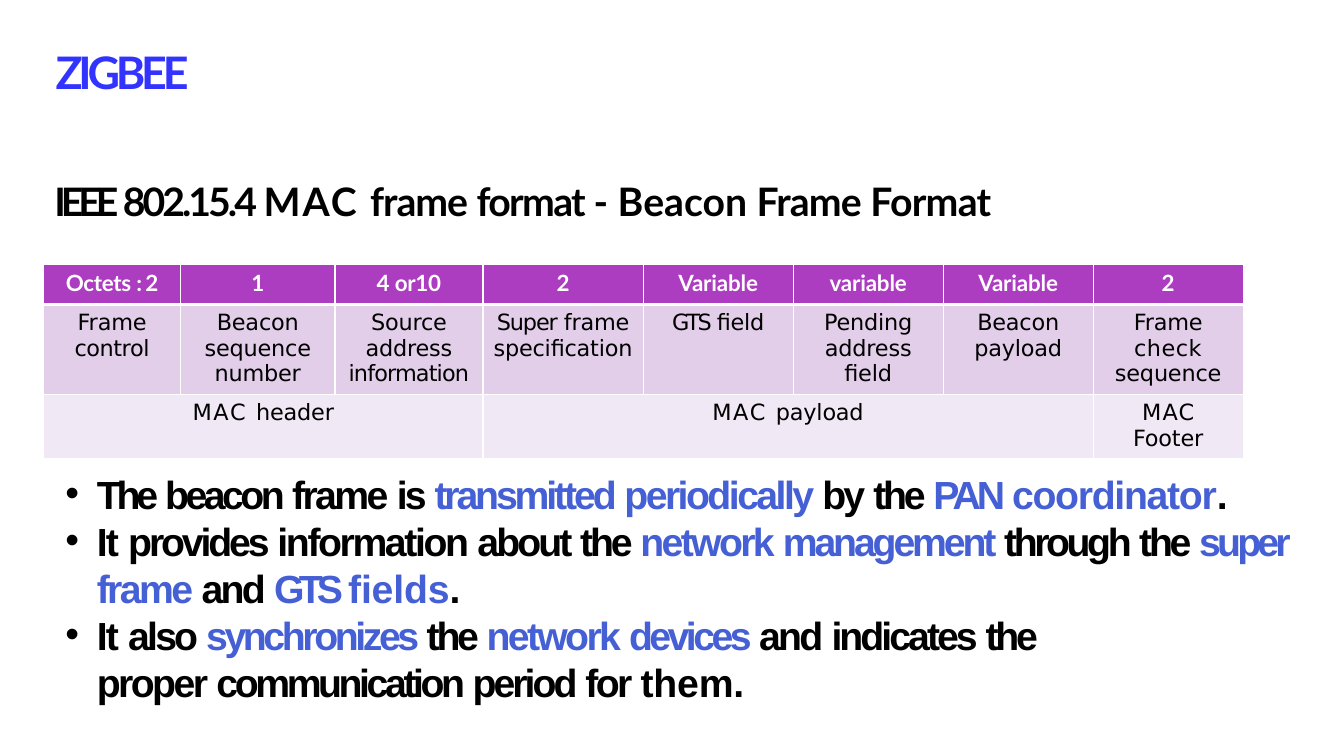
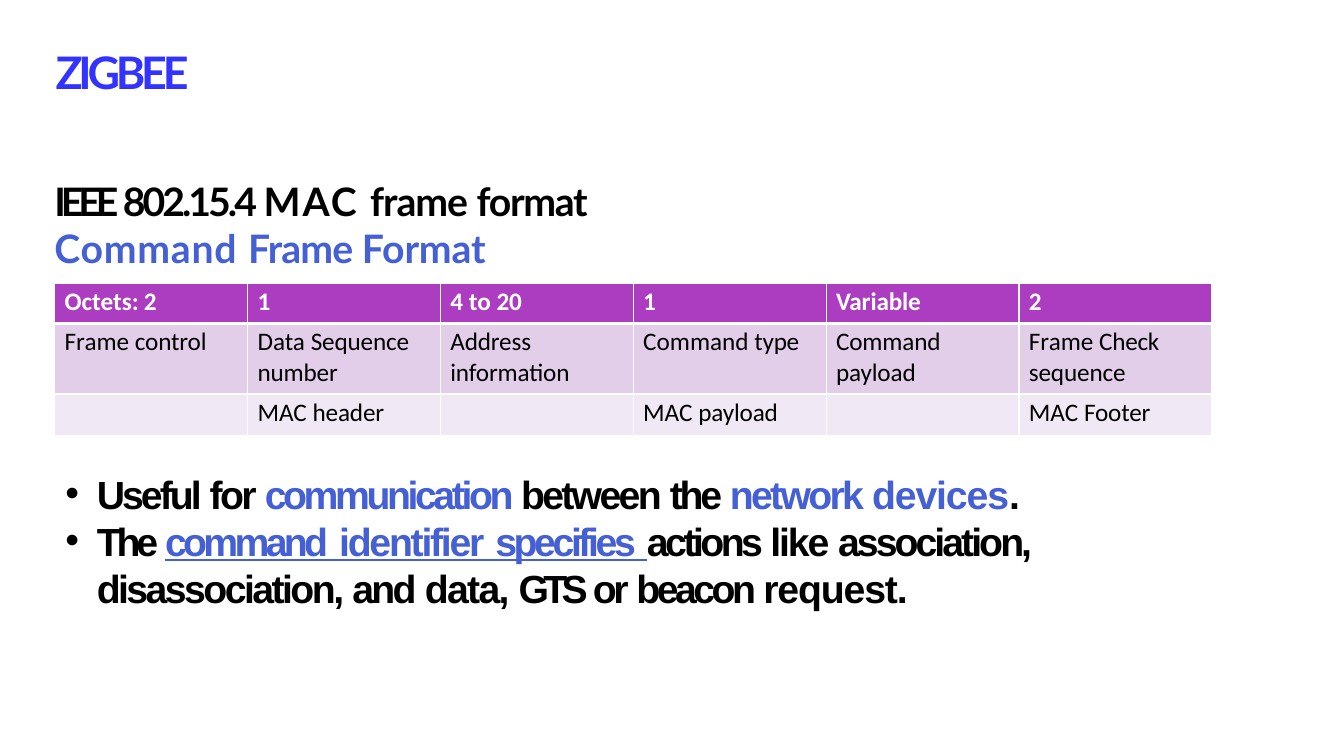
from lxml import etree
from pptx import Presentation
from pptx.dml.color import RGBColor
from pptx.enum.text import PP_ALIGN
from pptx.oxml.ns import qn
from pptx.util import Cm, Pt

LEFT, CENTER = PP_ALIGN.LEFT, PP_ALIGN.CENTER

BLACK = RGBColor(0x00, 0x00, 0x00)
WHITE = RGBColor(0xFF, 0xFF, 0xFF)
TITLE_BLUE = RGBColor(0x33, 0x33, 0xFF)
BLUE = RGBColor(0x45, 0x5F, 0xD5)
PURPLE = RGBColor(0xAC, 0x3D, 0xC1)
LILAC = RGBColor(0xE2, 0xCE, 0xE9)
PALE_LILAC = RGBColor(0xF0, 0xE8, 0xF4)
ROW_FILLS = (PURPLE, LILAC, PALE_LILAC)

HEADING_FONT, BULLET_FONT = "Lato", "Arial"
THIN, THICK = Pt(1), Pt(3)
EMPTY = []

# A run is (text, letter spacing in points[, colour[, underline]]);
# a paragraph is a list of runs, a cell a list of paragraphs.
FRAME_FORMAT = [("IEEE ", -3.6), ("802.15.4 ", -2.1), ("MAC ", 1.4), ("frame ", -0.7)]

BEACON_HEADING = FRAME_FORMAT + [
    ("format ", -1.2), ("- Beacon ", 0), ("Frame ", -0.6), ("Format", -0.5)]
BEACON_WIDTHS = [3.45, 3.89, 3.73, 4.04] + [3.78] * 4
BEACON_HEIGHTS = [1.02, 2.28, 1.6]
BEACON_SPANS = [(2, 0, 2), (2, 3, 6)]
BEACON_ROWS = [
    [[[("Octets ", -0.2), (": ", -1.5), ("2", -0.5)]],
     [[("1", -0.5)]],
     [[("4", -1.4), (" or10", -0.2)]],
     [[("2", -0.5)]],
     [[("Variable", -0.1)]],
     [[("variable", -0.1)]],
     [[("Variable", -0.1)]],
     [[("2", -0.5)]]],
    [[[("Frame ", -0.1), ("control", -0.3)]],
     [[("Beacon sequence number", -0.1)]],
     [[("Source address ", -0.1), ("information", -0.6)]],
     [[("Super ", -0.8), ("frame specification", -0.1)]],
     [[("GTS ", -1.6), ("field", -0.1)]],
     [[("Pending address field", -0.1)]],
     [[("Beacon payload", -0.1)]],
     [[("Frame ", -0.1), ("check ", 0.4), ("sequence", -0.1)]]],
    [[[("MAC ", 1.2), ("header", -0.1)]], EMPTY, EMPTY,
     [[("MAC ", 1.2), ("payload", -0.1)]], EMPTY, EMPTY, EMPTY,
     [[("MAC", 0.9)], [("Footer", -0.1)]]],
]
BEACON_POINTS = [
    [("The ", -2.9), ("beacon ", -2.5), ("frame ", -1.8), ("is ", -2.1),
     ("transmitted ", -2.2, BLUE), ("periodically ", -1.8, BLUE),
     ("by ", -2), ("the ", -2.3), ("PAN ", -2.8, BLUE),
     ("coordinator", -0.9, BLUE), (".", -0.9)],
    [("It ", -1.2), ("provides ", -2.2), ("information ", -1.7), ("about ", -2.1),
     ("the ", -2.2), ("network ", -1.9, BLUE), ("management ", -2.2, BLUE),
     ("through ", -2.4), ("the ", -2.3), ("super ", -2.7, BLUE),
     ("frame ", -1.8, BLUE), ("and ", -1.9), ("GTS ", -4.1, BLUE),
     ("fields", -0.1, BLUE), (".", -0.1)],
    [("It ", -1.2), ("also ", -2), ("synchronizes ", -2.4, BLUE), ("the ", -2.3),
     ("network ", -1.9, BLUE), ("devices ", -2.5, BLUE), ("and ", -1.9),
     ("indicates ", -2.1), ("the ", -2.3), ("proper ", -1.8),
     ("communication ", -2.4), ("period ", -2.1), ("for ", -1.9), ("them.", -0.1)],
]

COMMAND_HEADING = FRAME_FORMAT + [
    ("format ", -0.9), ("Command ", 0.6, BLUE), ("Frame ", -0.6, BLUE),
    ("Format", -0.1, BLUE)]
COMMAND_WIDTHS = [4.86] * 6
COMMAND_HEIGHTS = [1.02, 1.78, 1.04]
COMMAND_ROWS = [
    [[[("Octets:", 0), (" 2", -0.5)]],
     [[("1", -0.5)]],
     [[("4 to ", 0), ("20", -0.2)]],
     [[("1", -0.5)]],
     [[("Variable", -0.1)]],
     [[("2", -0.5)]]],
    [[[("Frame ", 0), ("control", -0.1)]],
     [[("Data ", 0), ("Sequence", -0.1)], [("number", -0.1)]],
     [[("Address", -0.1)], [("information", -0.1)]],
     [[("Command ", 0), ("type", -0.2)]],
     [[("Command", -0.1)], [("payload", -0.1)]],
     [[("Frame ", 0), ("Check", -0.2)], [("sequence", -0.1)]]],
    [EMPTY,
     [[("MAC ", 0), ("header", -0.1)]],
     EMPTY,
     [[("MAC ", 0), ("payload", -0.1)]],
     EMPTY,
     [[("MAC ", 0), ("Footer", -0.1)]]],
]
COMMAND_POINTS = [
    [("Useful ", -2.1), ("for ", -1.9), ("communication ", -2.4, BLUE),
     ("between ", -1.9), ("the ", -2.3), ("network ", -1.9, BLUE),
     ("devices", -0.8, BLUE), (".", -0.8)],
    [("The ", -2.9), ("command", -2.6, BLUE, True), (" ", 0.1, BLUE, True),
     ("identifier", -1.6, BLUE, True), (" ", -0.2, BLUE, True),
     ("specifies", -2.4, BLUE, True), (" ", 0.2, BLUE, True),
     ("actions ", -2.5), ("like ", -1.5), ("association, ", -2.1),
     ("disassociation, ", -1.8), ("and ", -1.9), ("data, ", -1.2),
     ("GTS ", -4.1), ("or ", -2.3), ("beacon ", -2.5), ("request.", -0.8)],
]


def add_bullet(paragraph):
    properties = paragraph._p.get_or_add_pPr()
    properties.set("marL", str(Cm(0.84)))
    properties.set("indent", str(-Cm(0.79)))
    etree.SubElement(properties, qn("a:buFont")).set("typeface", BULLET_FONT)
    etree.SubElement(properties, qn("a:buChar")).set("char", "•")


def write_text(frame, paragraphs, *, font, size, colour=BLACK, bold=True,
               align=LEFT, bullets=False, line_spacing=None):
    frame.word_wrap = True
    for number, runs in enumerate(paragraphs):
        paragraph = frame.add_paragraph() if number else frame.paragraphs[0]
        if bullets:
            add_bullet(paragraph)
        paragraph.alignment = align
        paragraph.line_spacing = line_spacing
        for text, spacing, *accent in runs:
            run = paragraph.add_run()
            run.text = text
            run.font.name, run.font.size, run.font.bold = font, Pt(size), bold
            run.font.color.rgb = accent[0] if accent else colour
            if len(accent) > 1:
                run.font.underline = accent[1]
            run._r.get_or_add_rPr().set("spc", str(round(spacing * 100)))


def add_text(slide, box, paragraphs, **text_format):
    frame = slide.shapes.add_textbox(*box).text_frame
    frame.margin_left = frame.margin_top = frame.margin_right = frame.margin_bottom = 0
    write_text(frame, paragraphs, **text_format)


def set_borders(cell, top, bottom):
    properties = cell._tc.get_or_add_tcPr()
    for side, width in (("L", THIN), ("R", THIN), ("T", top), ("B", bottom)):
        line = etree.SubElement(properties, qn(f"a:ln{side}"), w=str(width))
        fill = etree.SubElement(line, qn("a:solidFill"))
        etree.SubElement(fill, qn("a:srgbClr"), val=str(WHITE))


def add_frame_table(slide, left, top, widths, heights, rows, *, spans=(),
                    header_font, body_font, size, align, side_margin, top_margin):
    table = slide.shapes.add_table(
        len(rows), len(widths), left, top, Cm(sum(widths)), Cm(sum(heights))).table
    table.first_row = table.horz_banding = False
    for column, width in zip(table.columns, widths):
        column.width = Cm(width)
    for row, height in zip(table.rows, heights):
        row.height = Cm(height)
    for r, contents in enumerate(rows):
        header = r == 0
        for c, paragraphs in enumerate(contents):
            cell = table.cell(r, c)
            cell.margin_left = cell.margin_right = side_margin
            cell.margin_top, cell.margin_bottom = top_margin, 0
            set_borders(cell, THICK if r == 1 else THIN, THICK if header else THIN)
            cell.fill.solid()
            cell.fill.fore_color.rgb = ROW_FILLS[r]
            write_text(cell.text_frame, paragraphs, size=size, align=align, bold=header,
                       font=header_font if header else body_font,
                       colour=WHITE if header else BLACK)
    for r, first, last in spans:
        table.cell(r, first).merge(table.cell(r, last))


def add_zigbee_slide(deck, heading, heading_width, points, points_width):
    slide = deck.slides.add_slide(deck.slide_layouts[6])
    # Title
    add_text(slide, (Cm(1.4), Cm(1.12), Cm(21.6), Cm(1.45)), [[("ZIGBEE", -3)]],
             font=HEADING_FONT, size=32, colour=TITLE_BLUE)
    # Heading
    add_text(slide, (Cm(1.37), Cm(4.47), heading_width, Cm(1.25)), [heading],
             font=HEADING_FONT, size=28)
    # Bullet points
    add_text(slide, (Cm(1.6), Cm(11.84), points_width, Cm(6)), points,
             font=BULLET_FONT, size=28, bullets=True, line_spacing=Pt(33.6))
    return slide


def build_beacon_slide(deck):
    slide = add_zigbee_slide(deck, BEACON_HEADING, Cm(26.7), BEACON_POINTS, Cm(31.1))
    # The last point wraps earlier than the others
    last_point = slide.shapes[-1].text_frame.paragraphs[-1]
    last_point._p.get_or_add_pPr().set("marR", str(Cm(4)))
    add_frame_table(slide, Cm(1.1), Cm(6.65), BEACON_WIDTHS, BEACON_HEIGHTS, BEACON_ROWS,
                    spans=BEACON_SPANS, header_font=HEADING_FONT, body_font="DejaVu Sans",
                    size=16, align=CENTER, side_margin=Cm(0.2), top_margin=Cm(0.13))


def build_command_slide(deck):
    slide = add_zigbee_slide(deck, COMMAND_HEADING, Cm(15.2), COMMAND_POINTS, Cm(28))
    add_frame_table(slide, Cm(1.38), Cm(7.13), COMMAND_WIDTHS, COMMAND_HEIGHTS, COMMAND_ROWS,
                    header_font="Calibri", body_font="Calibri",
                    size=18, align=LEFT, side_margin=Cm(0.25), top_margin=Cm(0.08))


def main():
    deck = Presentation()
    deck.slide_width, deck.slide_height = Cm(33.87), Cm(19.05)
    build_beacon_slide(deck)
    build_command_slide(deck)
    deck.save("out.pptx")


if __name__ == "__main__":
    main()
